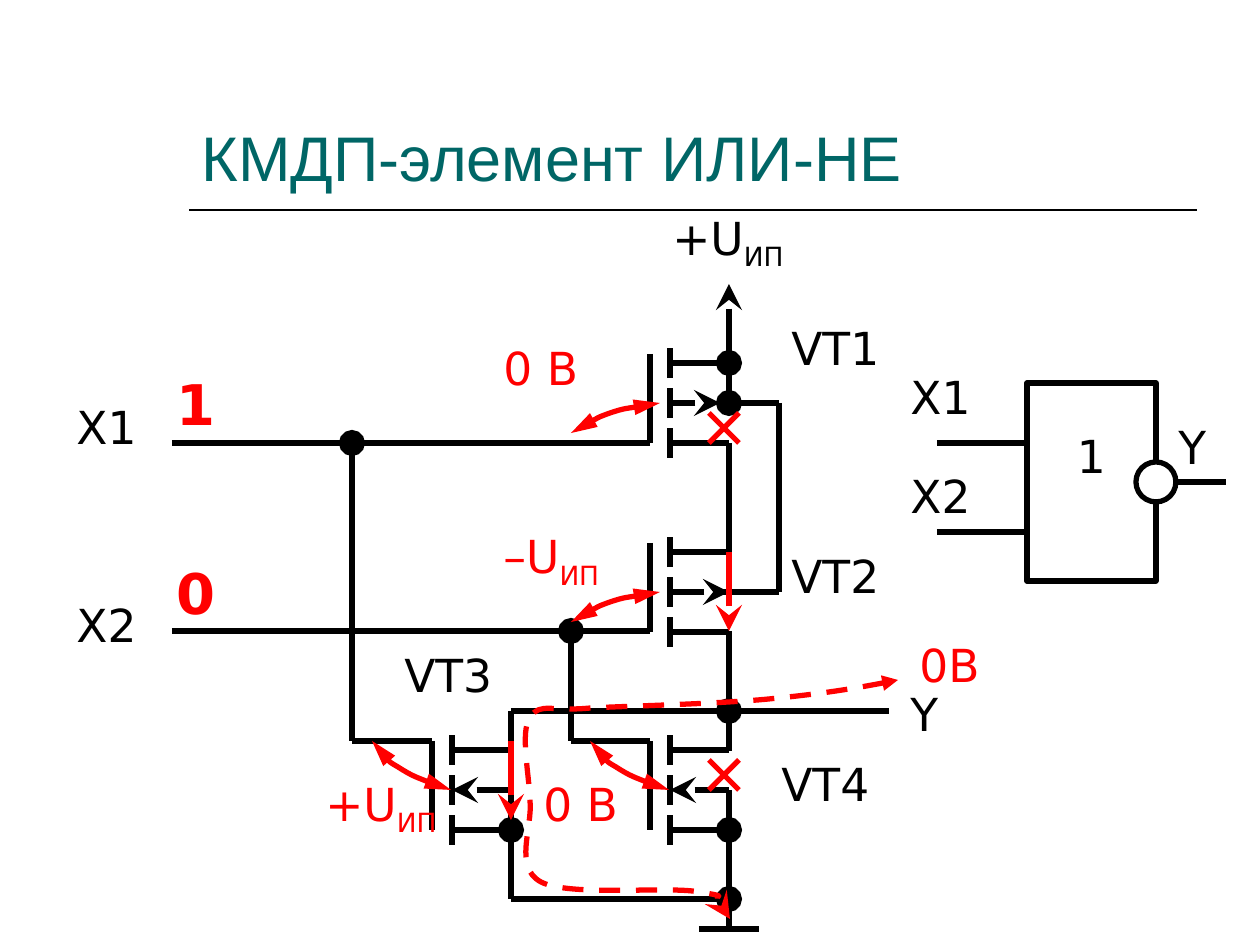
from pptx import Presentation
from pptx.dml.color import RGBColor
from pptx.enum.dml import MSO_LINE
from pptx.enum.shapes import MSO_CONNECTOR, MSO_SHAPE
from pptx.enum.text import MSO_ANCHOR, PP_ALIGN
from pptx.oxml.ns import qn
from pptx.util import Pt
from lxml import etree

STRAIGHT = MSO_CONNECTOR.STRAIGHT
RECT, OVAL = MSO_SHAPE.RECTANGLE, MSO_SHAPE.OVAL
DASH = MSO_LINE.DASH
BOTTOM, MIDDLE, TOP = MSO_ANCHOR.BOTTOM, MSO_ANCHOR.MIDDLE, MSO_ANCHOR.TOP
CENTER, LEFT = PP_ALIGN.CENTER, PP_ALIGN.LEFT

PX = 914400 / 126
COLORS = {"ink": "000000", "red": "FF0000", "title": "006666", "paper": "FFFFFF"}

# Arrowheads: kind, width, length
DOT = ("oval", "lg", "lg")
ARROW = ("stealth", "lg", "lg")
SLIM = ("triangle", "med", "lg")
TIP = ("triangle", "med", "med")

# Transistors: gate x, middle y
BAR, OUT, STEP = 20, 79, 40  # offsets of channel, outer wire, lead spacing
P_TYPE = [(650, 403), (650, 592)]
N_TYPE = [(432, 790), (650, 790)]
P_CURVE = [(10, 0), (-7, 3), (-25, 5), (-40, 10), (-54, 15), (-67, 23), (-79, 30)]
N_CURVE = [(-60, -49), (-54, -40), (-46, -30), (-34, -23), (-20, -14), (0, -6), (19, 0)]

# Wires: x1, y1, x2, y2, then head at start, head at end
WIRES = [
    (172, 443, 650, 443), (172, 631, 650, 631),
    (352, 741, 352, 443, None, DOT), (571, 741, 571, 631, None, DOT),
    (352, 741, 432, 741), (571, 741, 650, 741),
    (729, 284, 729, 363, ARROW), (729, 403, 729, 363, None, DOT),
    (779, 403, 729, 403, None, DOT), (779, 403, 779, 592), (720, 592, 779, 592),
    (720, 403, 670, 403, ARROW), (729, 592, 670, 592, ARROW),
    (452, 790, 511, 790, ARROW), (670, 790, 729, 790, ARROW),
    (729, 443, 729, 552), (729, 631, 729, 751),
    (511, 711, 729, 711), (889, 711, 729, 711, None, DOT),
    (511, 711, 511, 751), (511, 790, 511, 830), (729, 790, 729, 830),
    (511, 899, 511, 830, None, DOT), (729, 929, 729, 830, None, DOT),
    (511, 899, 729, 899, None, DOT), (699, 929, 759, 929),
]
CURRENTS = [(511, 820, 511, 741, ARROW), (729, 631, 729, 552, ARROW)]
CROSSES = [(724, 428), (724, 775)]
ROUTE = [
    (898, 680), (859, 688), (820, 694), (769, 699), (718, 704), (630, 706),
    (591, 708), (551, 712), (541, 702), (530, 717), (520, 733), (529, 772),
    (530, 800), (533, 828), (513, 867), (541, 882), (570, 897), (668, 886),
    (699, 892), (731, 897), (723, 915), (730, 919),
]
PINS = [(937, 443, 1027, 443), (937, 532, 1027, 532), (1157, 482, 1226, 482)]

# Labels: left, top, width, text, subscript
LABELS = {
    "ink": [
        (64, 393, 118, "X1", ""), (64, 591, 118, "X2", ""),
        (660, 204, 159, "+U", "ИП"), (898, 680, 118, "Y", ""),
        (779, 314, 129, "VT1", ""), (779, 542, 129, "VT2", ""),
        (392, 641, 129, "VT3", ""), (769, 750, 129, "VT4", ""),
        (898, 363, 118, "X1", ""), (898, 462, 118, "X2", ""),
        (1166, 413, 79, "Y", ""),
    ],
    "red": [
        (491, 334, 159, "0 В", ""), (491, 522, 159, "–U", "ИП"),
        (313, 770, 159, "+U", "ИП"), (531, 770, 159, "0 В", ""),
        (907, 631, 159, "0В", ""),
    ],
}
INPUTS = [(164, 363, "1"), (164, 552, "0")]


def px(n):
    return round(n * PX)


def rgb(name):
    return RGBColor.from_string(COLORS[name])


def style(shape, color="ink", width=3, head=None, tail=None):
    """Set the stroke and arrowheads and drop the shadow."""
    shape.line.color.rgb = rgb(color)
    shape.line.width = Pt(width)
    props = shape._element.spPr
    stroke = props.find(qn("a:ln"))
    for tag, end in (("a:headEnd", head), ("a:tailEnd", tail)):
        if end:
            etree.SubElement(stroke, qn(tag), dict(zip(("type", "w", "len"), end)))
    etree.SubElement(props, qn("a:effectLst"))


def line(slide, x1, y1, x2, y2, head=None, tail=None, color="ink", width=3):
    wire = slide.shapes.add_connector(STRAIGHT, px(x1), px(y1), px(x2), px(y2))
    style(wire, color, width, head, tail)


def curve(slide, points, head, tail, color="red", dash=None):
    """Draw cubic Bezier arcs: a start, then two controls and an end for each."""
    pen = slide.shapes.build_freeform(*points[0], scale=PX)
    pen.add_line_segments(points[1:], close=False)
    shape = pen.convert_to_shape()
    shape.fill.background()
    style(shape, color, 3, head, tail)
    if dash:
        shape.line.dash_style = dash
    steps = list(shape._element.iter(qn("a:lnTo")))
    for i in range(0, len(steps), 3):
        arc = etree.Element(qn("a:cubicBezTo"))
        steps[i].addprevious(arc)
        for step in steps[i:i + 3]:
            arc.append(step[0])
            step.getparent().remove(step)


def write(shape, text, sub="", size=26, color="ink", font="DejaVu Sans",
          bold=False, anchor=TOP, align=LEFT, wrap=True):
    frame = shape.text_frame
    frame.word_wrap = wrap
    frame.vertical_anchor = anchor
    para = frame.paragraphs[0]
    para.alignment = align
    for part in filter(None, (text, sub)):
        run = para.add_run()
        run.text = part
        run.font.size = Pt(size)
        run.font.name = font
        run.font.bold = bold
        run.font.color.rgb = rgb(color)
    if sub:
        run._r.get_or_add_rPr().set("baseline", "-25000")


def label(slide, x, y, w, h, text, **form):
    box = slide.shapes.add_textbox(px(x), px(y), px(w), px(h))
    write(box, text, **form)


def block(slide, kind, x, y, w, h):
    shape = slide.shapes.add_shape(kind, px(x), px(y), px(w), px(h))
    shape.fill.solid()
    shape.fill.fore_color.rgb = rgb("paper")
    style(shape)
    return shape


def channel(slide, x, y):
    """Draw the gate, three channel bars and two leads of a transistor."""
    line(slide, x, y - 49, x, y + STEP)
    for off in (-STEP, 0, STEP):
        line(slide, x + BAR, y + off + 15, x + BAR, y + off - 15)
        if off:
            line(slide, x + BAR, y + off, x + OUT, y + off)


def main():
    deck = Presentation()
    deck.slide_width, deck.slide_height = px(1260), px(945)
    slide = deck.slides.add_slide(deck.slide_layouts[6])

    line(slide, 189, 210, 1197, 210, width=1)
    label(slide, 189, 42, 1008, 158, "КМДП-элемент ИЛИ-НЕ", size=36,
          color="title", font="Arial", anchor=BOTTOM)

    for x, y in P_TYPE + N_TYPE:
        channel(slide, x, y)
    for wire in WIRES:
        line(slide, *wire)

    for spots, shift in ((P_TYPE, P_CURVE), (N_TYPE, N_CURVE)):
        for x, y in spots:
            curve(slide, [(x + dx, y + dy) for dx, dy in shift], SLIM, SLIM)
    for flow in CURRENTS:
        line(slide, *flow, color="red")
    for x, y in CROSSES:
        for rise in (-15, 15):
            line(slide, x - 15, y + rise, x + 15, y - rise, color="red")
    curve(slide, ROUTE, TIP, ARROW, dash=DASH)

    body = block(slide, RECT, 1027, 383, 129, 198)
    body.text_frame.margin_bottom = px(59)
    write(body, "1", anchor=MIDDLE, align=CENTER, wrap=False)
    for pin in PINS:
        line(slide, *pin)
    block(slide, OVAL, 1136, 462, 40, 40)

    for color, rows in LABELS.items():
        for x, y, w, text, sub in rows:
            label(slide, x, y, w, 76 if sub else 68, text, sub=sub, color=color)
    for x, y, text in INPUTS:
        label(slide, x, y, 69, 81, text, size=32, color="red", bold=True)

    deck.save("out.pptx")


if __name__ == "__main__":
    main()
